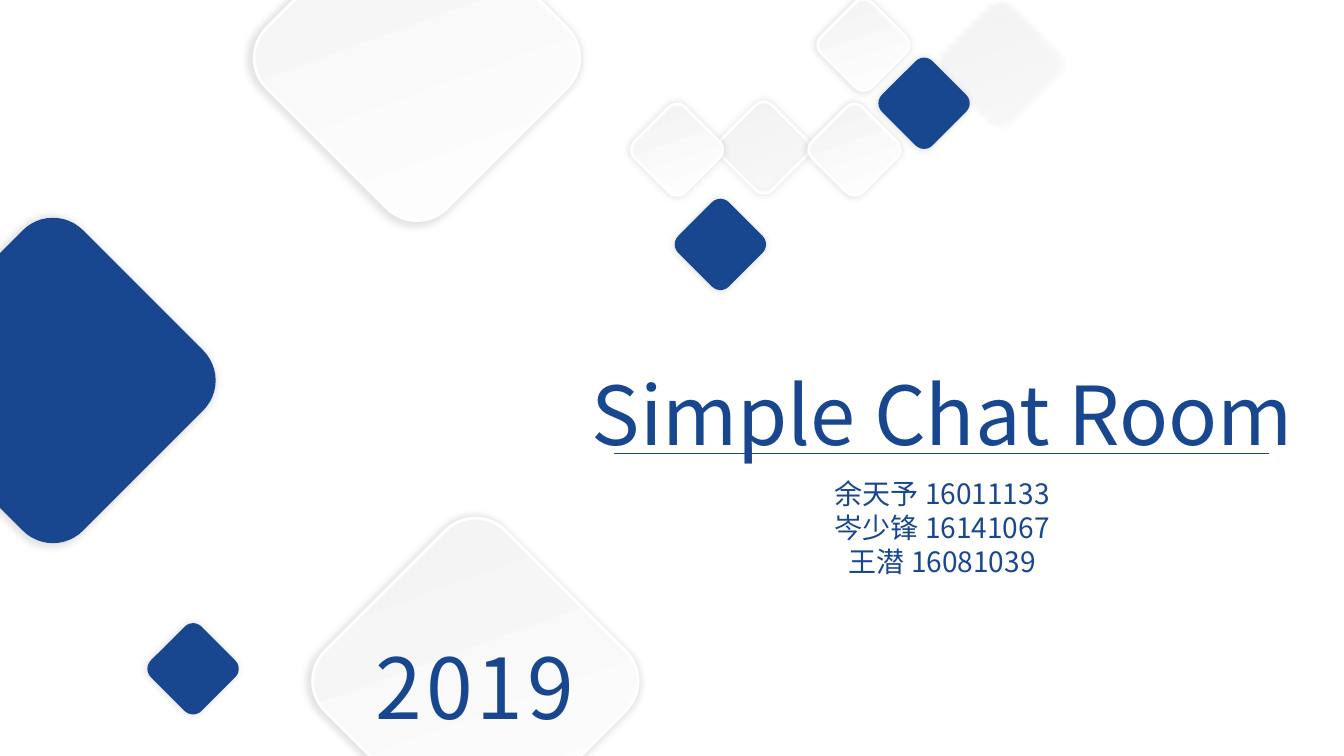
from lxml import etree
from pptx import Presentation
from pptx import util as u
from pptx.dml.color import RGBColor
from pptx.enum import shapes, text
from pptx.oxml import parse_xml
from pptx.oxml.ns import qn

NS = 'xmlns:a="http://schemas.openxmlformats.org/drawingml/2006/main"'
COLORS = {"navy": "18478F", "white": "FFFFFF", "pale": "F2F2F2", "shade": "000000"}
FONT = "Noto Sans CJK SC"
SMALL, MEDIUM, LARGE = 0.71, 0.94, 2.53
NAVY = RGBColor.from_string(COLORS["navy"])

# left, top, side, style
DIAMONDS = [
    (9.47, 0.16, MEDIUM, "glass"),
    (7.22, 1.11, SMALL, "framed glass"),
    (-0.74, 2.51, LARGE, "navy"),
    (2.87, -0.69, LARGE, "framed"),
    (6.36, 1.13, SMALL, "framed"),
    (8.21, 0.09, SMALL, "framed"),
    (6.79, 2.07, SMALL, "navy"),
    (8.81, 0.67, SMALL, "navy"),
    (1.56, 6.28, SMALL, "navy"),
    (3.45, 5.49, LARGE, "framed"),
    (8.12, 1.13, SMALL, "framed"),
]


def gradient_xml(start_alpha, end_alpha):
    return (
        f'<a:gradFill {NS} rotWithShape="0"><a:gsLst>'
        f'<a:gs pos="0"><a:srgbClr val="{COLORS["white"]}"><a:alpha val="{start_alpha}000"/></a:srgbClr></a:gs>'
        f'<a:gs pos="100000"><a:srgbClr val="{COLORS["pale"]}"><a:alpha val="{end_alpha}000"/></a:srgbClr></a:gs>'
        f'</a:gsLst><a:lin ang="{250 * 60000}" scaled="0"/></a:gradFill>'
    )


def write_centred(box, bounds, lines, size):
    """Place the box and fill it with centred navy lines."""
    box.left, box.top, box.width, box.height = map(u.Inches, bounds)
    frame = box.text_frame
    frame.text = "\n".join(lines)
    frame.word_wrap = True
    frame.auto_size = text.MSO_AUTO_SIZE.NONE
    frame.vertical_anchor = text.MSO_ANCHOR.TOP
    for paragraph in frame.paragraphs:
        paragraph.alignment = text.PP_ALIGN.CENTER
        paragraph.space_before = u.Pt(0)
        paragraph.line_spacing = u.Pt(size * 1.2)
        paragraph.font.size = u.Pt(size)
        paragraph.font.name = FONT
        paragraph.font.color.rgb = NAVY
        for run in paragraph.runs:
            etree.SubElement(run.font._element, qn("a:ea"), typeface=FONT)


deck = Presentation()
deck.slide_width, deck.slide_height = u.Inches(13.33), u.Inches(7.5)
slide = deck.slides.add_slide(deck.slide_layouts[0])

for left, top, side, style in DIAMONDS:
    diamond = slide.shapes.add_shape(
        shapes.MSO_SHAPE.ROUNDED_RECTANGLE, *map(u.Inches, (left, top, side, side)))
    diamond.rotation = 45
    if "framed" in style:
        diamond.line.color.rgb = RGBColor.from_string(COLORS["white"])
        diamond.line.width = u.Pt(2)
    else:
        diamond.line.fill.background()
    properties = diamond._element.spPr
    if style == "navy":
        diamond.fill.solid()
        diamond.fill.fore_color.rgb = NAVY
    else:
        alphas = (40, 37) if "glass" in style else (100, 100)
        properties.find(qn("a:prstGeom")).addnext(parse_xml(gradient_xml(*alphas)))
    properties.append(parse_xml(
        f'<a:effectLst {NS}><a:outerShdw blurRad="{u.Pt(5)}" sx="102000" sy="102000" algn="ctr" rotWithShape="0">'
        f'<a:srgbClr val="{COLORS["shade"]}"><a:alpha val="11000"/></a:srgbClr></a:outerShdw></a:effectLst>'))

year = slide.shapes.add_textbox(0, 0, 0, 0)
write_centred(year, (3.48, 6.26, 2.46, 1.11), ["2019"], 60)
year.text_frame.paragraphs[0].runs[0].font._element.set("spc", "300")

write_centred(slide.shapes.title, (5.37, 3.56, 7.95, 1.08), ["Simple Chat Room"], 58)
write_centred(slide.placeholders[1], (5.61, 4.68, 7.47, 1.11),
              ["余天予 16011133", "岑少锋 16141067", "王潜 16081039"], 20)

underline = slide.shapes.add_connector(
    shapes.MSO_CONNECTOR.STRAIGHT, *map(u.Inches, (6.09, 4.5, 12.59, 4.5)))
underline.line.color.rgb = NAVY
underline.line.width = u.Pt(0.5)
etree.SubElement(underline._element.spPr, qn("a:effectLst"))

deck.save("out.pptx")
